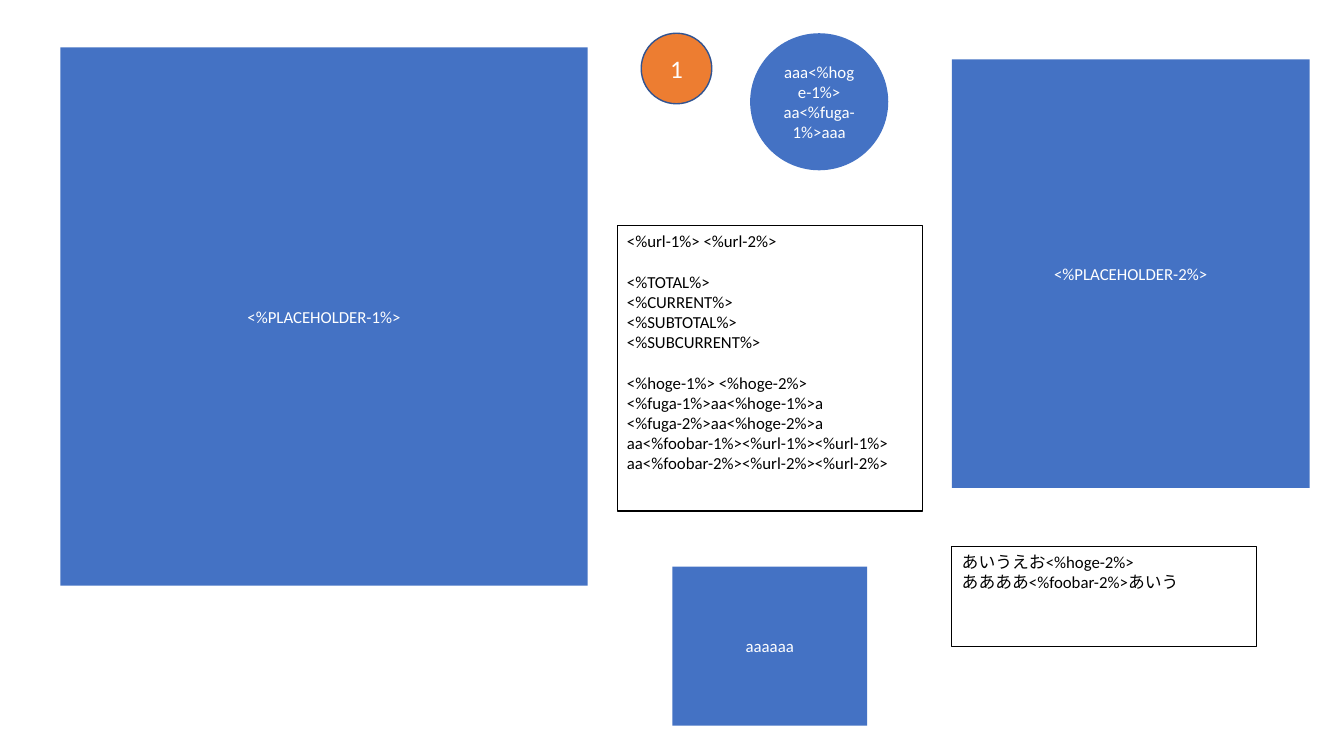
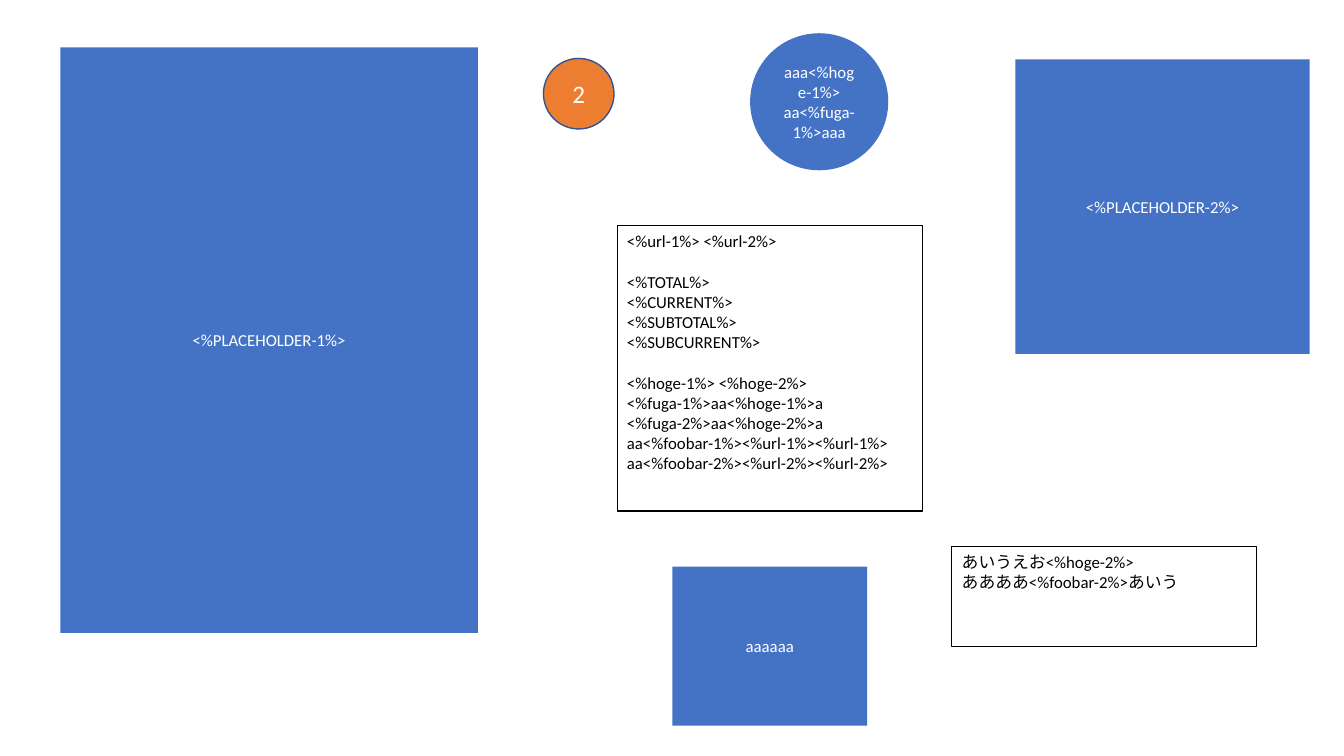
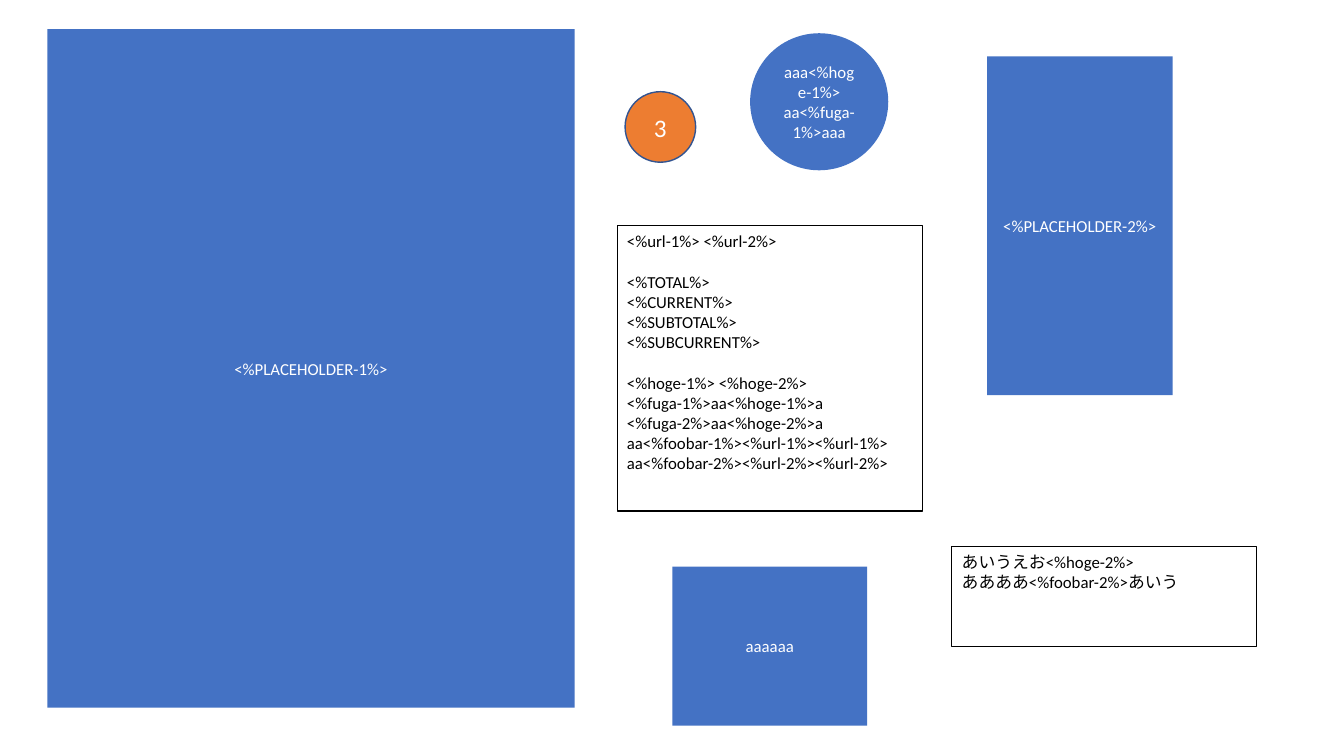
from pptx import Presentation
from pptx.dml.color import RGBColor
from pptx.enum.shapes import MSO_SHAPE
from pptx.enum.text import MSO_ANCHOR, PP_ALIGN
from pptx.util import Inches, Pt

RECTANGLE, OVAL = MSO_SHAPE.RECTANGLE, MSO_SHAPE.OVAL
TOP, MIDDLE = MSO_ANCHOR.TOP, MSO_ANCHOR.MIDDLE
LEFT, CENTER = PP_ALIGN.LEFT, PP_ALIGN.CENTER

FONT = "Calibri"
BLUE, ORANGE, NAVY = "4472C4", "ED7D31", "325491"
WHITE, BLACK = "FFFFFF", "000000"
GROUP_GAP = Pt(14.6)
BADGE_SIZE = 0.7

SOLID = {"fill": BLUE, "line": None, "line_width": 0, "size": 12,
         "color": WHITE, "anchor": MIDDLE, "align": CENTER}
OUTLINED = {"fill": None, "line": BLACK, "line_width": 0.75, "size": 12,
            "color": BLACK, "anchor": TOP, "align": LEFT}
BADGE = {**SOLID, "fill": ORANGE, "line": NAVY, "line_width": 1, "size": 18}

CIRCLE_TEXT = [[["aaa<%hoge-1%>"], ["aa<%fuga-1%>aaa"]]]
JAPANESE_TEXT = [[["あいうえお<%hoge-2%>"], ["ああああ<%foobar-2%>あいう"]]]
VARIABLES_TEXT = [
    [["<%url-1%> <%url-2%>"]],
    [["<%TOTAL%>"], ["<%CURRENT%>"], ["<%SUBTOTAL%>"], ["<%SUBCURRENT%>"]],
    [["<%hoge-1%> <%hoge-2%>"],
     ["<%fuga-1%>aa<%hoge-1%>a", "<%fuga-2%>aa<%hoge-2%>a"],
     ["aa<%foobar-1%><%url-1%><%url-1%>", "aa<%foobar-2%><%url-2%><%url-2%>"]],
]

SLIDES = [
    {"first": (0.6, 0.47, 5.23, 5.34), "second": (9.44, 0.59, 3.55, 4.25),
     "badge": (6.36, 0.33)},
    {"first": (0.6, 0.47, 4.14, 5.81), "second": (10.07, 0.59, 2.92, 2.92),
     "badge": (5.39, 0.58)},
    {"first": (0.47, 0.29, 5.23, 6.73), "second": (9.79, 0.56, 1.84, 3.36),
     "badge": (6.2, 0.91)},
]


def paint(color_format, color):
    """Set a colour from a hex string."""
    color_format.rgb = RGBColor.from_string(color)


def assign(target, values):
    """Set attributes of an object from a dict."""
    for name, value in values.items():
        setattr(target, name, value)


def paint_fill(fill, color):
    """Fill with a colour, or with nothing."""
    if color:
        fill.solid()
        paint(fill.fore_color, color)
    else:
        fill.background()


def write_text(frame, groups, style):
    """Write groups of paragraphs, each paragraph a list of lines."""
    assign(frame, {"word_wrap": True, "vertical_anchor": style["anchor"]})
    para = None
    for group_index, group in enumerate(groups):
        for para_index, lines in enumerate(group):
            para = frame.add_paragraph() if para else frame.paragraphs[0]
            para.alignment = style["align"]
            if group_index and not para_index:
                para.space_before = GROUP_GAP
            for line_index, line in enumerate(lines):
                if line_index:
                    para.add_line_break()
                span = para.add_run()
                span.text = line
                assign(span.font, {"name": FONT, "size": Pt(style["size"])})
                paint(span.font.color, style["color"])


def add_box(page, kind, box, groups, style):
    """Add one styled shape with its text."""
    shape = page.shapes.add_shape(kind, *map(Inches, box))
    shape.shadow.inherit = False
    paint_fill(shape.fill, style["fill"])
    paint_fill(shape.line.fill, style["line"])
    if style["line"]:
        shape.line.width = Pt(style["line_width"])
    write_text(shape.text_frame, groups, style)


def add_template_page(deck, number, layout):
    """Add a slide with placeholders, variable boxes and a numbered badge."""
    page = deck.slides.add_slide(deck.slide_layouts[6])
    badge_box = (*layout["badge"], BADGE_SIZE, BADGE_SIZE)
    parts = [
        (RECTANGLE, layout["first"], [[["<%PLACEHOLDER-1%>"]]], SOLID),
        (RECTANGLE, layout["second"], [[["<%PLACEHOLDER-2%>"]]], SOLID),
        (OVAL, (7.44, 0.33, 1.37, 1.36), CIRCLE_TEXT, SOLID),
        (RECTANGLE, (6.67, 5.62, 1.93, 1.58), [[["aaaaaa"]]], SOLID),
        (RECTANGLE, (9.44, 5.42, 3.02, 0.99), JAPANESE_TEXT, OUTLINED),
        (RECTANGLE, (6.12, 2.24, 3.03, 2.83), VARIABLES_TEXT, OUTLINED),
        (OVAL, badge_box, [[[str(number)]]], BADGE),
    ]
    for part in parts:
        add_box(page, *part)


def main():
    """Build and save the deck."""
    deck = Presentation()
    assign(deck, {"slide_width": Inches(13.33), "slide_height": Inches(7.5)})
    for number, layout in enumerate(SLIDES, 1):
        add_template_page(deck, number, layout)
    deck.save("out.pptx")


if __name__ == "__main__":
    main()
